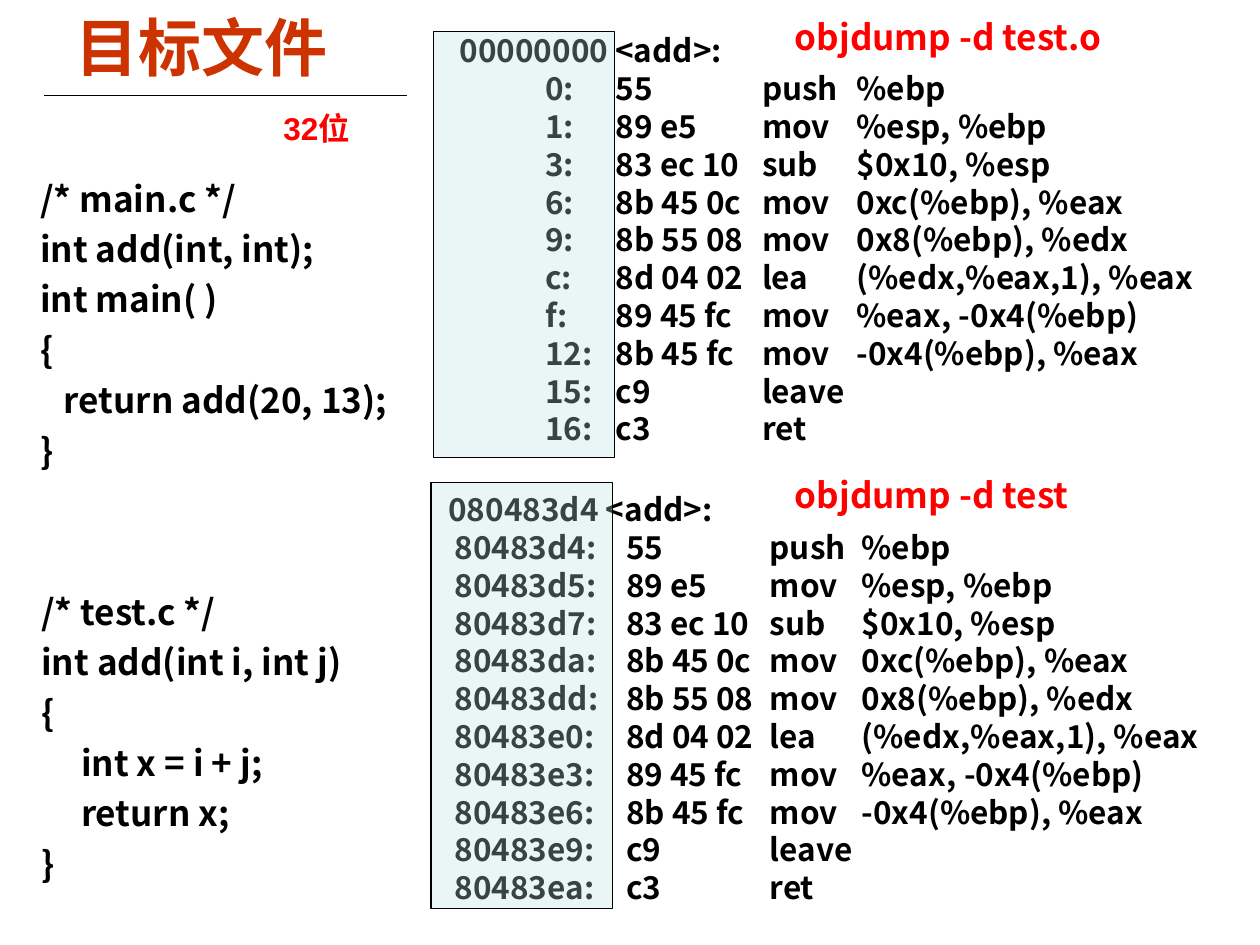
from dataclasses import dataclass

from lxml.etree import SubElement
from pptx import Presentation
from pptx.dml.color import RGBColor as RGB
from pptx.enum.shapes import MSO_CONNECTOR as CONNECTOR, MSO_SHAPE as SHAPE
from pptx.enum.text import MSO_ANCHOR as ANCHOR
from pptx.oxml.ns import qn
from pptx.util import Inches, Pt


@dataclass(frozen=True)
class Theme:
    ink: RGB = RGB(0x00, 0x00, 0x00)
    title: RGB = RGB(0xCC, 0x33, 0x00)
    accent: RGB = RGB(0xFF, 0x00, 0x00)
    shade: RGB = RGB(0xBB, 0xE0, 0xE3)
    shade_opacity: int = 30
    font: str = "Arial"
    code_font: str = "Noto Sans CJK SC"
    title_size: int = 36
    code_size: int = 20
    listing_size: int = 18
    rule: float = 0.75


THEME = Theme()

MAIN_C = """/* main.c */
int add(int, int);
int main( )
{
   return add(20, 13);
}"""

TEST_C = """/* test.c */
int add(int i, int j)
{
     int x = i + j;
     return x;
}"""

INSTRUCTIONS = [
    ("55", "push", "%ebp"),
    ("89 e5", "mov", "%esp, %ebp"),
    ("83 ec 10", "sub", "$0x10, %esp"),
    ("8b 45 0c", "mov", "0xc(%ebp), %eax"),
    ("8b 55 08", "mov", "0x8(%ebp), %edx"),
    ("8d 04 02", "lea", "(%edx,%eax,1), %eax"),
    ("89 45 fc", "mov", "%eax, -0x4(%ebp)"),
    ("8b 45 fc", "mov", "-0x4(%ebp), %eax"),
    ("c9", "leave"),
    ("c3", "ret"),
]
OFFSETS = [0x0, 0x1, 0x3, 0x6, 0x9, 0xC, 0xF, 0x12, 0x15, 0x16]


def add_text(s, box, text, size, color, font=THEME.code_font,
             anchor=ANCHOR.TOP, leading=None):
    tf = s.shapes.add_textbox(*map(Inches, box)).text_frame
    tf.word_wrap = True
    tf.vertical_anchor = anchor
    tf.text = text
    for p in tf.paragraphs:
        if leading:
            p.line_spacing = Pt(leading)
        for r in p.runs:
            r.font.name = font
            r.font.size = Pt(size)
            r.font.bold = True
            r.font.color.rgb = color
    return tf


def add_title(s, box):
    """Title with the rule below it and the word-size note."""
    left, top, width, height = box
    add_text(s, box, "目标文件", THEME.title_size, THEME.title,
             THEME.font, ANCHOR.MIDDLE)
    y = Inches(top + height + 0.09)
    line = s.shapes.add_connector(CONNECTOR.STRAIGHT, Inches(left - 0.15), y,
                                  Inches(left + width), y)
    line.line.color.rgb = THEME.ink
    line.line.width = Pt(THEME.rule)
    SubElement(line._element.spPr, qn("a:effectLst"))
    add_text(s, (left + 1.65, top + 0.76, 1.05, 0.4), "32位",
             THEME.listing_size, THEME.accent, THEME.font)


def add_source(s, box, code):
    add_text(s, box, code, THEME.code_size, THEME.ink,
             leading=1.44 * THEME.code_size)


def add_shade(s, box):
    """Translucent panel over the address column."""
    sp = s.shapes.add_shape(SHAPE.RECTANGLE, *map(Inches, box))
    sp.shadow.inherit = False
    sp.fill.solid()
    sp.fill.fore_color.rgb = THEME.shade
    color = sp._element.spPr.find(qn("a:solidFill"))[0]
    SubElement(color, qn("a:alpha"), val=str(THEME.shade_opacity * 1000))
    sp.line.color.rgb = THEME.ink
    sp.line.width = Pt(THEME.rule)


def add_listing(s, box, command, base, header_pad, columns, shade):
    """Disassembly of add() at base; columns are tab stops from the text edge."""
    left, top, _, _ = box
    rows = ["\t" + "\t".join((f"{base + offset:x}:", *instruction))
            for offset, instruction in zip(OFFSETS, INSTRUCTIONS)]
    header = f"{base:0{header_pad}x} <add>:"
    tf = add_text(s, box, "\n".join([header, *rows]), THEME.listing_size,
                  THEME.ink, anchor=ANCHOR.MIDDLE,
                  leading=1.2 * THEME.listing_size)
    head, *body = tf.paragraphs
    head._p.get_or_add_pPr().set("indent", str(Inches(0.32)))
    for p in body:
        tabs = SubElement(p._p.get_or_add_pPr(), qn("a:tabLst"))
        for column in columns:
            SubElement(tabs, qn("a:tab"), pos=str(Inches(column)), algn="l")
    add_shade(s, shade)
    add_text(s, (6.21, top - 0.13, 2.84, 0.43), command, THEME.code_size,
             THEME.accent, leading=1.2 * THEME.code_size)


def main():
    prs = Presentation()
    prs.slide_width, prs.slide_height = Inches(10), Inches(7.5)
    s = prs.slides.add_slide(prs.slide_layouts[6])
    add_title(s, (0.5, 0.06, 2.73, 0.61))
    add_listing(s, (3.23, 0.2, 6.64, 3.4), "objdump -d test.o", 0, 8,
                (1.0, 1.56, 2.72, 3.47), (3.44, 0.25, 1.44, 3.38))
    add_listing(s, (3.14, 3.84, 6.75, 3.4), "objdump -d test", 0x80483D4, 8,
                (0.37, 1.73, 2.87, 3.6), (3.42, 3.83, 1.44, 3.38))
    add_source(s, (0.22, 1.29, 3.24, 2.5), MAIN_C)
    add_source(s, (0.23, 4.57, 2.97, 2.5), TEST_C)
    prs.save("out.pptx")


if __name__ == "__main__":
    main()
